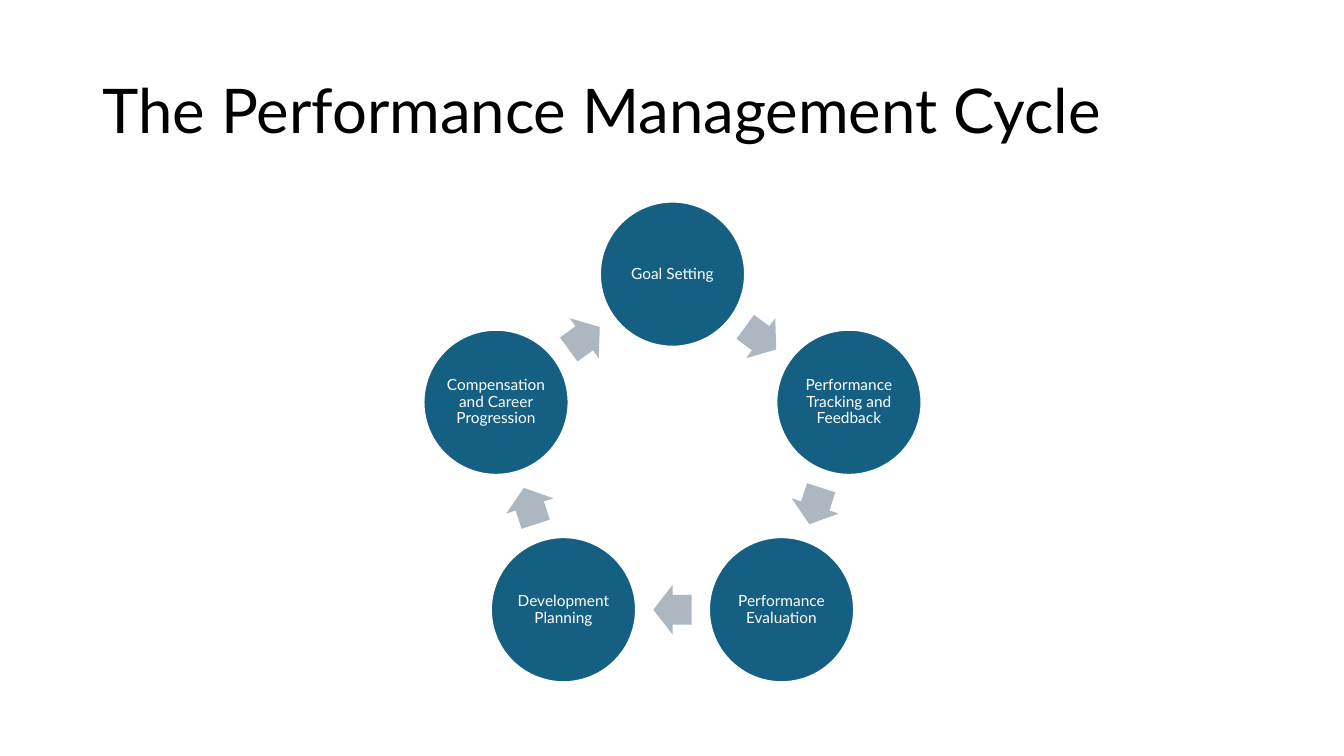
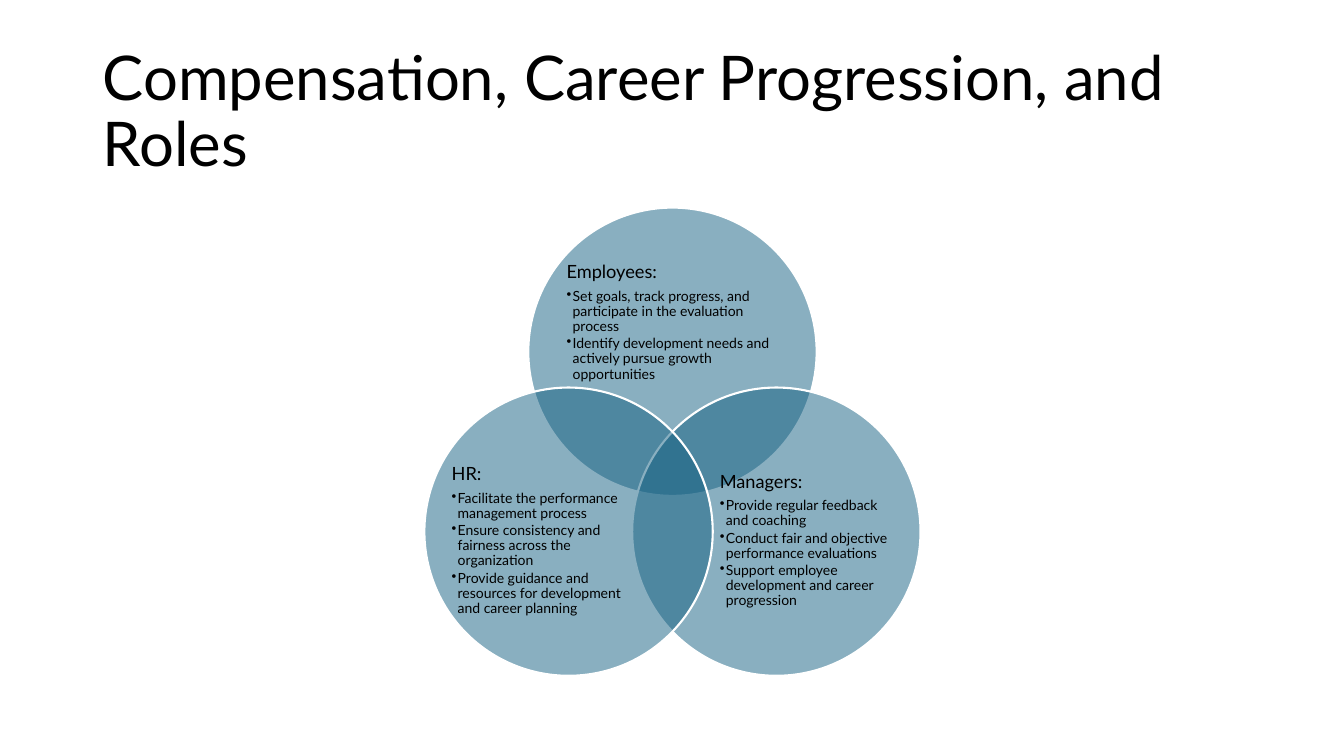
"""Build two slides: the performance management cycle and the roles behind it."""
import math
from dataclasses import dataclass

from pptx import Presentation, util as u
from pptx.dml.color import RGBColor
from pptx.enum import shapes, text
from pptx.oxml.ns import qn
from pptx.oxml.xmlchemy import OxmlElement


@dataclass(frozen=True)
class Theme:
    font: str = "Lato"
    teal: str = "156082"
    grey: str = "ACB7C1"
    white: str = "FFFFFF"
    black: str = "000000"
    title: int = 44
    heading: int = 13
    label: int = 11
    bullet: int = 10
    outline: float = 1.5


T = Theme()
MIDDLE = text.MSO_ANCHOR.MIDDLE


def add_text(tf, words, size, color=T.black, align=text.PP_ALIGN.LEFT, after=0.0, bullet=False):
    p = tf.paragraphs[-1] if not tf.text else tf.add_paragraph()
    p.alignment, p.line_spacing, p.space_after = align, 0.9, u.Pt(size * after)
    r = p.add_run()
    r.text = words
    r.font.name, r.font.size = T.font, u.Pt(size)
    r.font.color.rgb = RGBColor.from_string(color)
    if bullet:
        p.level = 1
        pPr = p._p.get_or_add_pPr()
        pPr.set("marL", str(u.Inches(0.06)))
        pPr.set("indent", str(u.Inches(-0.06)))
        bu = OxmlElement("a:buChar")
        bu.set("char", "•")
        pPr.append(bu)


def add_centred(s, kind, cx, cy, w, h, fill, outlined=True):
    sp = s.shapes.add_shape(kind, u.Inches(cx - w / 2), u.Inches(cy - h / 2), u.Inches(w), u.Inches(h))
    sp.shadow.inherit = False
    sp.fill.solid()
    sp.fill.fore_color.rgb = RGBColor.from_string(fill)
    if outlined:
        sp.line.color.rgb = RGBColor.from_string(T.white)
        sp.line.width = u.Pt(T.outline)
    else:
        sp.line.fill.background()
    return sp


prs = Presentation()
prs.slide_width, prs.slide_height = u.Inches(13.33), u.Inches(7.5)

slides = []
for title in ("The Performance Management Cycle", "Compensation, Career Progression, and Roles"):
    s = prs.slides.add_slide(prs.slide_layouts[6])
    tf = s.shapes.add_textbox(u.Inches(0.92), u.Inches(0.4), u.Inches(11.5), u.Inches(1.45)).text_frame
    tf.word_wrap, tf.vertical_anchor = True, MIDDLE
    add_text(tf, title, T.title)
    slides.append(s)
cycle, roles = slides

STEPS = [
    "Goal Setting",
    "Performance Tracking and Feedback",
    "Performance Evaluation",
    "Development Planning",
    "Compensation and Career Progression",
]
CENTRE_X = 6.67
cycle_y, ring = 4.56, 1.84
turn = 360 / len(STEPS)
arrow_ring = ring * math.cos(math.radians(turn / 2))
for i, step in enumerate(STEPS):
    a = math.radians(i * turn - 90)
    sp = add_centred(cycle, shapes.MSO_SHAPE.OVAL, CENTRE_X + ring * math.cos(a),
                     cycle_y + ring * math.sin(a), 1.44, 1.44, T.teal)
    tf = sp.text_frame
    tf.word_wrap, tf.vertical_anchor = True, MIDDLE
    tf.margin_left = tf.margin_right = tf.margin_top = tf.margin_bottom = u.Inches(0.02)
    add_text(tf, step, T.label, color=T.white, align=text.PP_ALIGN.CENTER, after=0.35)

    a += math.radians(turn / 2)
    arrow = add_centred(cycle, shapes.MSO_SHAPE.RIGHT_ARROW, CENTRE_X + arrow_ring * math.cos(a),
                        cycle_y + arrow_ring * math.sin(a), 0.38, 0.49, T.grey, outlined=False)
    arrow.adjustments[0], arrow.adjustments[1] = 0.6, 0.5
    arrow.rotation = (i + 0.5) * turn

ROLES = [
    ("Employees:", (5.62, 2.56, 2.09, 1.28), [
        "Set goals, track progress, and participate in the evaluation process",
        "Identify development needs and actively pursue growth opportunities",
    ]),
    ("Managers:", (7.14, 4.58, 1.71, 1.57), [
        "Provide regular feedback and coaching",
        "Conduct fair and objective performance evaluations",
        "Support employee development and career progression",
    ]),
    ("HR:", (4.48, 4.58, 1.71, 1.57), [
        "Facilitate the performance management process",
        "Ensure consistency and fairness across the organization",
        "Provide guidance and resources for development and career planning",
    ]),
]
venn_y, venn_ring = 4.68, 1.19
for i, (role, box, duties) in enumerate(ROLES):
    a = math.radians(i * 360 / len(ROLES) - 90)
    sp = add_centred(roles, shapes.MSO_SHAPE.OVAL, CENTRE_X + venn_ring * math.cos(a),
                     venn_y + venn_ring * math.sin(a), 2.86, 2.86, T.teal)
    alpha = OxmlElement("a:alpha")
    alpha.set("val", "50000")
    sp._element.spPr.find(qn("a:solidFill")).find(qn("a:srgbClr")).append(alpha)

    tf = roles.shapes.add_textbox(*map(u.Inches, box)).text_frame
    tf.word_wrap, tf.vertical_anchor = True, MIDDLE
    tf.margin_left = tf.margin_right = tf.margin_top = tf.margin_bottom = 0
    add_text(tf, role, T.heading, after=0.35)
    for duty in duties:
        add_text(tf, duty, T.bullet, after=0.15, bullet=True)

prs.save("out.pptx")
